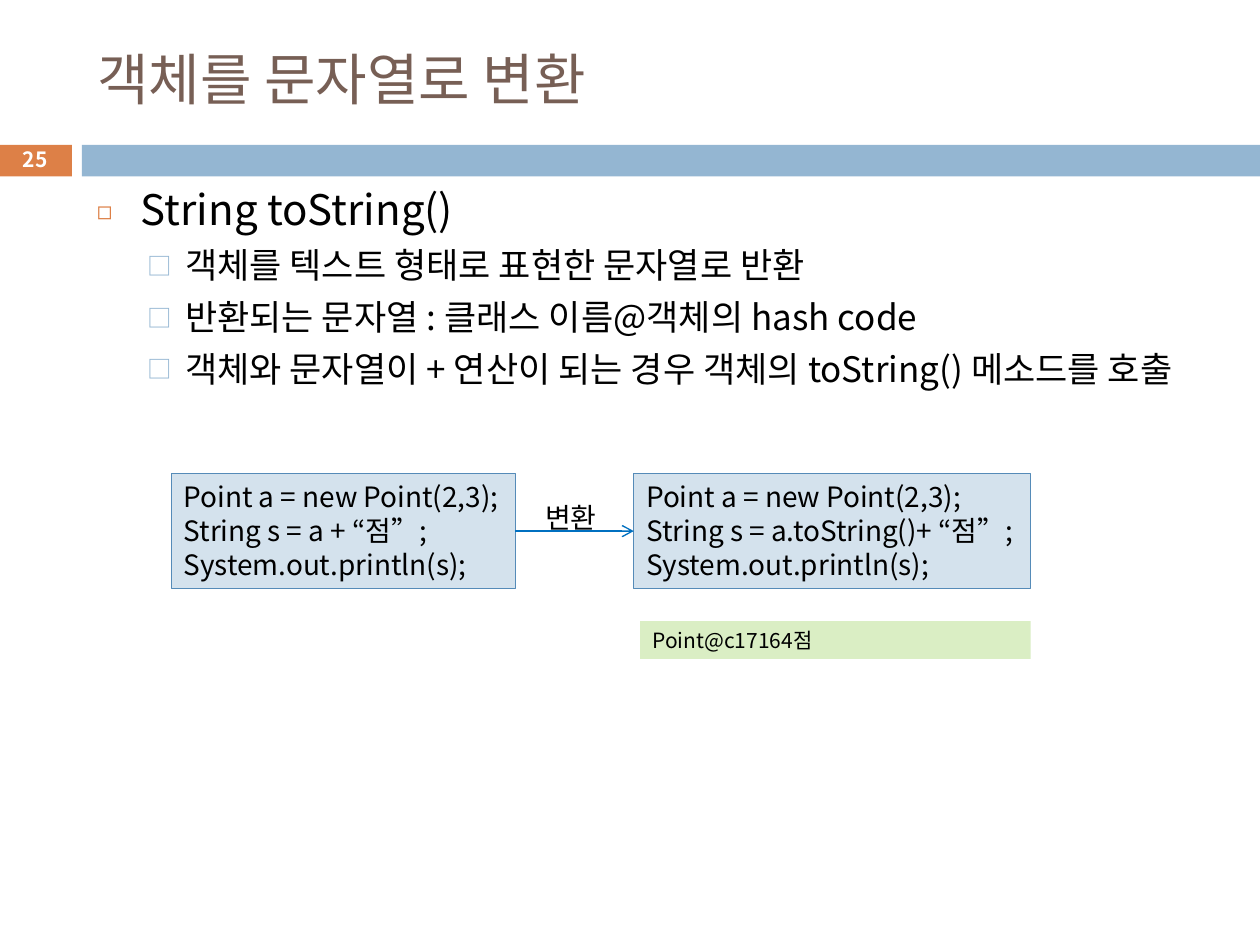
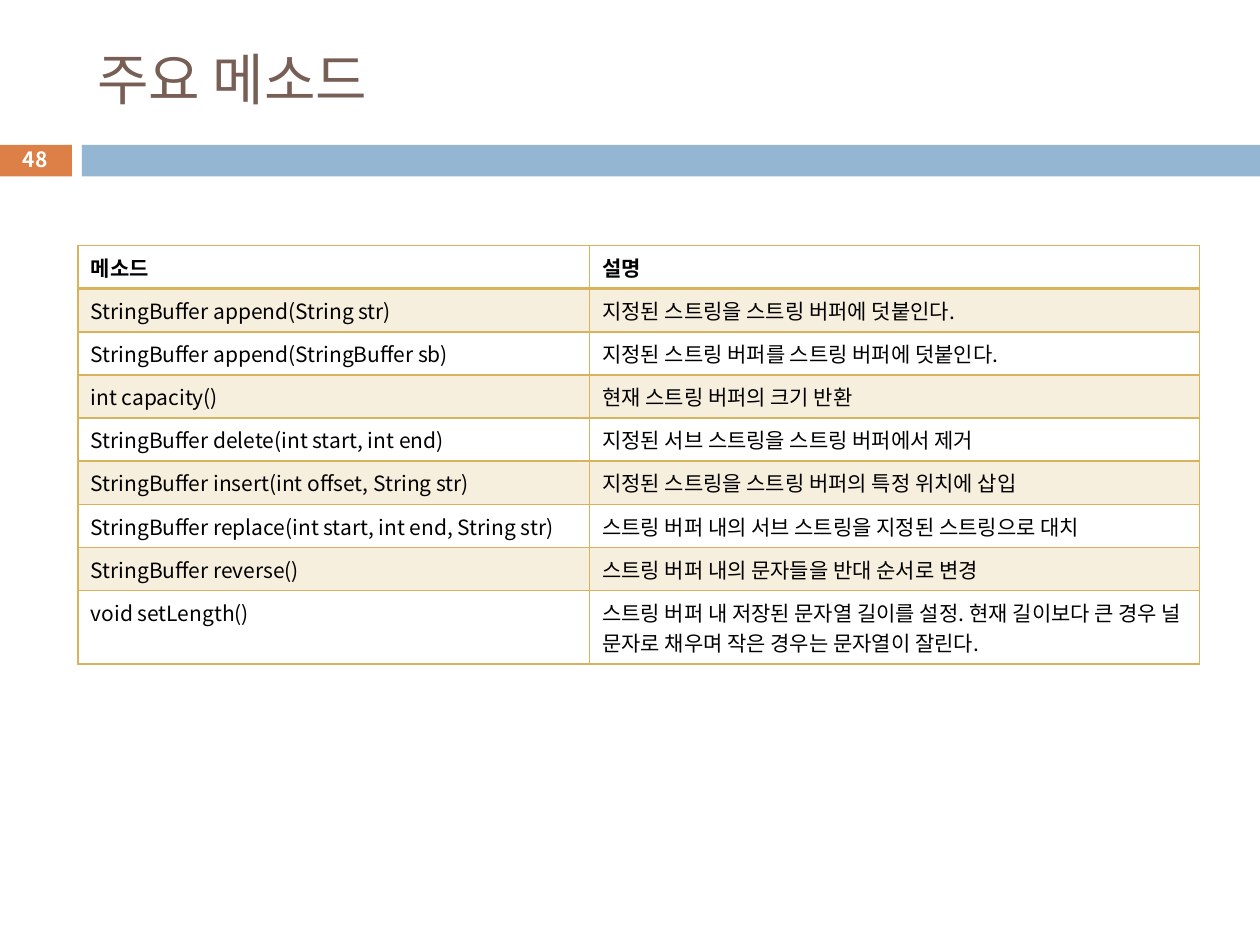
from dataclasses import dataclass
from typing import Optional

from lxml.etree import SubElement
from pptx import Presentation
from pptx.dml.color import RGBColor
from pptx.enum.shapes import MSO_CONNECTOR, MSO_SHAPE
from pptx.enum.text import MSO_ANCHOR, MSO_AUTO_SIZE, PP_ALIGN
from pptx.oxml.ns import qn
from pptx.util import Inches, Pt


@dataclass(frozen=True)
class Theme:
    font: str = "Noto Sans CJK KR"
    ink: str = "000000"
    white: str = "FFFFFF"
    title: str = "775F55"
    orange: str = "DD8047"
    blue: str = "94B6D2"
    code_fill: str = "D4E2ED"
    code_line: str = "558BB8"
    arrow: str = "0070C0"
    output_fill: str = "DAEEC4"
    gold: str = "D8B25C"
    band_opacity: int = 20
    title_size: float = 32
    heading_size: float = 24
    bullet_size: float = 20
    code_size: float = 16
    small_size: float = 12
    line_height: float = 1.2


THEME = Theme()


@dataclass(frozen=True)
class Box:
    left: float
    top: float
    width: float
    height: float

    def lengths(self) -> tuple:
        return tuple(Inches(n) for n in (self.left, self.top, self.width, self.height))


@dataclass(frozen=True)
class BulletLevel:
    symbol: str
    color: str
    symbol_percent: int
    text_indent: float
    hanging: float
    space_before: float
    size: float


@dataclass(frozen=True)
class CodeBox:
    box: Box
    lines: tuple[str, ...]


LEVELS = (
    BulletLevel("◻", THEME.orange, 60, 0.35, 0.35, 7, THEME.heading_size),
    BulletLevel("□", THEME.blue, 70, 0.7, 0.3, 5.5, THEME.bullet_size),
)
TITLE_BOX = Box(0.67, 0.25, 8.92, 0.74)
NUMBER_BAND = Box(-0.01, 1.15, 0.58, 0.25)
NUMBER_BOX = Box(-0.01, 1.13, 0.58, 0.27)
TITLE_BAND = Box(0.65, 1.15, 9.35, 0.25)

TO_STRING_POINTS = (
    (0, "String toString()"),
    (1, "객체를 텍스트 형태로 표현한 문자열로 반환"),
    (1, "반환되는 문자열 : 클래스 이름@객체의 hash code"),
    (1, "객체와 문자열이 + 연산이 되는 경우 객체의 toString() 메소드를 호출"),
)
WRITTEN_CODE = CodeBox(
    Box(1.36, 3.76, 2.73, 0.91),
    ("Point a = new Point(2,3);", "String s = a + “점”;", "System.out.println(s);"),
)
CONVERTED_CODE = CodeBox(
    Box(5.03, 3.76, 3.15, 0.91),
    ("Point a = new Point(2,3);", "String s = a.toString()+ “점”;", "System.out.println(s);"),
)
METHOD_ROWS = (
    ("메소드", "설명"),
    ("StringBuffer append(String str)", "지정된 스트링을 스트링 버퍼에 덧붙인다."),
    ("StringBuffer append(StringBuffer sb)", "지정된 스트링 버퍼를 스트링 버퍼에 덧붙인다."),
    ("int capacity()", "현재 스트링 버퍼의 크기 반환"),
    ("StringBuffer delete(int start, int end)", "지정된 서브 스트링을 스트링 버퍼에서 제거"),
    ("StringBuffer insert(int offset, String str)", "지정된 스트링을 스트링 버퍼의 특정 위치에 삽입"),
    ("StringBuffer replace(int start, int end, String str)",
     "스트링 버퍼 내의 서브 스트링을 지정된 스트링으로 대치"),
    ("StringBuffer reverse()", "스트링 버퍼 내의 문자들을 반대 순서로 변경"),
    ("void setLength()",
     "스트링 버퍼 내 저장된 문자열 길이를 설정. 현재 길이보다 큰 경우 널 문자로 채우며 작은 경우는 문자열이 잘린다."),
)
METHOD_COLUMNS = (4.06, 4.84)
METHOD_ROW_HEIGHT = 0.32


def write(paragraph, text: str, *, size: float, color: str = THEME.ink, bold: bool = False,
          align=PP_ALIGN.LEFT, line_height: Optional[float] = THEME.line_height) -> None:
    run = paragraph.add_run()
    run.text = text
    run.font.size = Pt(size)
    run.font.bold = bold
    run.font.color.rgb = RGBColor.from_string(color)
    run.font.name = THEME.font
    SubElement(run.font._element, qn("a:ea"), typeface=THEME.font)
    paragraph.alignment = align
    if line_height:
        paragraph.line_spacing = Pt(size * line_height)


def paragraph_at(frame, index: int):
    return frame.paragraphs[0] if index == 0 else frame.add_paragraph()


def prepare_frame(shape, *, wrap: bool = True, anchor=MSO_ANCHOR.TOP):
    frame = shape.text_frame
    frame.word_wrap = wrap
    frame.auto_size = MSO_AUTO_SIZE.NONE
    frame.vertical_anchor = anchor
    return frame


def add_rectangle(slide, box: Box, fill: str, line: Optional[str] = None):
    shape = slide.shapes.add_shape(MSO_SHAPE.RECTANGLE, *box.lengths())
    shape.shadow.inherit = False
    shape.fill.solid()
    shape.fill.fore_color.rgb = RGBColor.from_string(fill)
    if line:
        shape.line.color.rgb = RGBColor.from_string(line)
        shape.line.width = Pt(0.75)
    else:
        shape.line.fill.background()
    return shape


def add_titled_slide(presentation, title: str, number: int):
    slide = presentation.slides.add_slide(presentation.slide_layouts[5])
    add_rectangle(slide, NUMBER_BAND, THEME.orange)
    add_rectangle(slide, TITLE_BAND, THEME.blue)
    heading = slide.shapes.title
    heading.left, heading.top, heading.width, heading.height = TITLE_BOX.lengths()
    frame = prepare_frame(heading, anchor=MSO_ANCHOR.MIDDLE)
    write(frame.paragraphs[0], title, size=THEME.title_size, color=THEME.title)
    number_box = slide.shapes.add_textbox(*NUMBER_BOX.lengths())
    frame = prepare_frame(number_box, anchor=MSO_ANCHOR.MIDDLE)
    write(frame.paragraphs[0], str(number), size=THEME.small_size, color=THEME.white,
          bold=True, align=PP_ALIGN.CENTER)
    return slide


def set_bullet(paragraph, level: BulletLevel) -> None:
    properties = paragraph._p.get_or_add_pPr()
    properties.set("marL", str(Inches(level.text_indent)))
    properties.set("indent", str(-Inches(level.hanging)))
    color = SubElement(properties, qn("a:buClr"))
    SubElement(color, qn("a:srgbClr"), val=level.color)
    SubElement(properties, qn("a:buSzPct"), val=str(level.symbol_percent * 1000))
    SubElement(properties, qn("a:buFont"), typeface=THEME.font)
    SubElement(properties, qn("a:buChar"), char=level.symbol)


def add_bullets(slide, box: Box, points: tuple) -> None:
    frame = prepare_frame(slide.shapes.add_textbox(*box.lengths()))
    for index, (depth, text) in enumerate(points):
        level = LEVELS[depth]
        paragraph = paragraph_at(frame, index)
        paragraph.level = depth
        set_bullet(paragraph, level)
        if index:
            paragraph.space_before = Pt(level.space_before)
        write(paragraph, text, size=level.size)


def add_code(slide, code: CodeBox):
    shape = add_rectangle(slide, code.box, THEME.code_fill, THEME.code_line)
    frame = prepare_frame(shape, wrap=False)
    for index, line in enumerate(code.lines):
        write(paragraph_at(frame, index), line, size=THEME.code_size)
    return shape


def add_arrow(slide, source, target) -> None:
    connector = slide.shapes.add_connector(MSO_CONNECTOR.STRAIGHT, 0, 0, 0, 0)
    connector.begin_connect(source, 3)
    connector.end_connect(target, 1)
    connector.line.color.rgb = RGBColor.from_string(THEME.arrow)
    connector.line.width = Pt(0.79)
    SubElement(connector.line._get_or_add_ln(), qn("a:tailEnd"), type="arrow")
    SubElement(connector._element.spPr, qn("a:effectLst"))


def set_borders(cell, widths: dict[str, float]) -> None:
    properties = cell._tc.get_or_add_tcPr()
    for side, width in widths.items():
        line = SubElement(properties, qn(f"a:ln{side}"), w=str(Pt(width)))
        fill = SubElement(line, qn("a:solidFill"))
        SubElement(fill, qn("a:srgbClr"), val=THEME.gold)


def fill_cell(cell, banded: bool) -> None:
    if not banded:
        cell.fill.background()
        return
    cell.fill.solid()
    cell.fill.fore_color.rgb = RGBColor.from_string(THEME.gold)
    color = cell._tc.tcPr.find(f"{qn('a:solidFill')}/{qn('a:srgbClr')}")
    SubElement(color, qn("a:alpha"), val=str(THEME.band_opacity * 1000))


def add_method_table(slide, left: float, top: float) -> None:
    box = Box(left, top, sum(METHOD_COLUMNS), METHOD_ROW_HEIGHT * len(METHOD_ROWS))
    table = slide.shapes.add_table(len(METHOD_ROWS), len(METHOD_COLUMNS), *box.lengths()).table
    table.first_row = False
    table.horz_banding = False
    for column, width in zip(table.columns, METHOD_COLUMNS):
        column.width = Inches(width)
    for row_index, texts in enumerate(METHOD_ROWS):
        table.rows[row_index].height = Inches(METHOD_ROW_HEIGHT)
        is_header = row_index == 0
        widths = {"L": 1, "R": 1, "T": 2 if row_index == 1 else 1, "B": 2 if is_header else 1}
        for column_index, text in enumerate(texts):
            cell = table.cell(row_index, column_index)
            set_borders(cell, widths)
            fill_cell(cell, banded=row_index % 2 == 1)
            write(cell.text_frame.paragraphs[0], text, size=THEME.small_size,
                  bold=is_header, line_height=None)


def build_to_string_slide(presentation) -> None:
    slide = add_titled_slide(presentation, "객체를 문자열로 변환", 25)
    add_bullets(slide, Box(0.67, 1.41, 8.92, 2.42), TO_STRING_POINTS)
    written = add_code(slide, WRITTEN_CODE)
    converted = add_code(slide, CONVERTED_CODE)
    add_arrow(slide, written, converted)
    label = slide.shapes.add_textbox(*Box(4.23, 3.92, 0.65, 0.37).lengths())
    write(prepare_frame(label, wrap=False).paragraphs[0], "변환", size=THEME.code_size)
    output = add_rectangle(slide, Box(5.08, 4.93, 3.1, 0.3), THEME.output_fill)
    write(prepare_frame(output).paragraphs[0], "Point@c17164점", size=THEME.small_size)


def build_methods_slide(presentation) -> None:
    slide = add_titled_slide(presentation, "주요 메소드", 48)
    add_method_table(slide, 0.62, 1.95)


def main() -> None:
    presentation = Presentation()
    presentation.slide_width = Inches(10)
    presentation.slide_height = Inches(7.5)
    build_to_string_slide(presentation)
    build_methods_slide(presentation)
    presentation.save("out.pptx")


if __name__ == "__main__":
    main()
